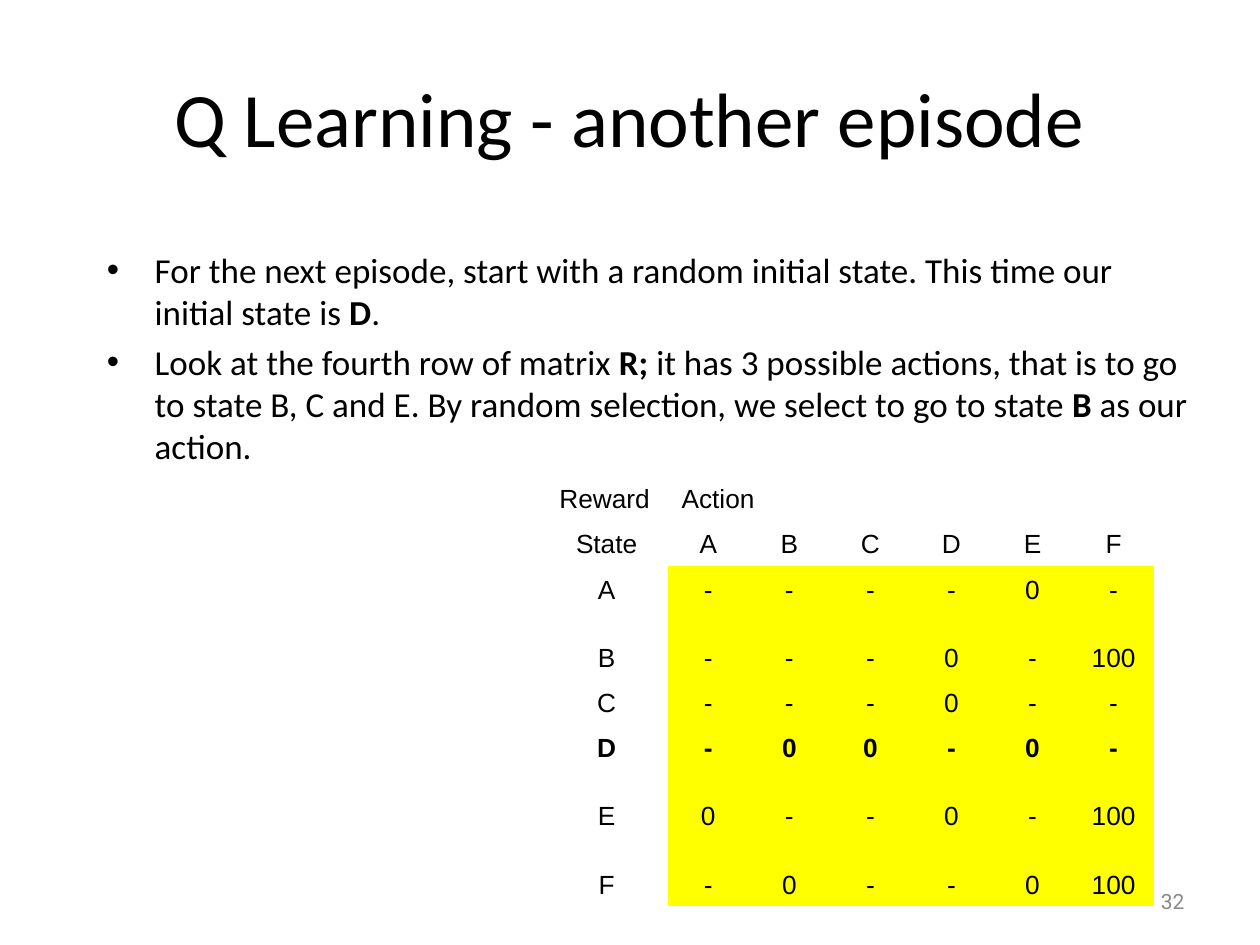
from pptx import Presentation
from pptx.dml.color import RGBColor
from pptx.enum.text import MSO_ANCHOR, PP_ALIGN
from pptx.oxml.ns import qn
from pptx.util import Inches, Pt
from lxml.etree import SubElement
from dataclasses import dataclass


@dataclass(frozen=True)
class Theme:
    black: str = "000000"
    grey: str = "898989"
    yellow: str = "FFFF00"
    heading: str = "Calibri"
    table: str = "Arial"
    number: str = "Roboto"
    title_size: int = 44
    body_size: int = 20
    cell_size: int = 15
    number_size: int = 12
    no_grid_style: str = "{2D5ABB26-0587-4C30-8999-92F81FD0307C}"


class SlideBuilder:
    def __init__(self, prs, theme):
        self.theme = theme
        self.s = prs.slides.add_slide(prs.slide_layouts[6])

    def run(self, p, text, font, size, color, bold=False):
        r = p.add_run()
        r.text = text
        for name, value in {"name": font, "size": Pt(size), "bold": bold}.items():
            setattr(r.font, name, value)
        r.font.color.rgb = RGBColor.from_string(color)

    def box(self, at, anchor=MSO_ANCHOR.TOP):
        tf = self.s.shapes.add_textbox(*map(Inches, at)).text_frame
        for name, value in {"word_wrap": True, "vertical_anchor": anchor}.items():
            setattr(tf, name, value)
        return tf

    def line(self, at, text, align, *style):
        p = self.box(at, MSO_ANCHOR.MIDDLE).paragraphs[0]
        p.alignment = align
        self.run(p, text, *style)

    def bullets(self, at, items):
        """Each item is a list of texts, alternately regular and bold."""
        t = self.theme
        tf = self.box(at)
        for i, item in enumerate(items):
            p = tf.add_paragraph() if i else tf.paragraphs[0]
            if i:
                p.space_before = Pt(5)
            pPr = p._p.get_or_add_pPr()
            pPr.set("marL", str(Inches(0.38)))
            pPr.set("indent", str(-Inches(0.38)))
            SubElement(pPr, qn("a:buFont"), typeface="Arial")
            SubElement(pPr, qn("a:buChar"), char="•")
            for j, text in enumerate(item):
                self.run(p, text, t.heading, t.body_size, t.black, j % 2 == 1)

    def table(self, at, first_col, heights, rows, bold_row):
        t = self.theme
        cols = len(rows[-1])
        frame = self.s.shapes.add_table(len(rows), cols, *map(Inches, at))
        table = frame.table
        table.first_row = table.horz_banding = False
        table._tbl.tblPr.find(qn("a:tableStyleId")).text = t.no_grid_style
        for i, col in enumerate(table.columns):
            col.width = Inches((at[2] - first_col) / (cols - 1) if i else first_col)
        for row, height in zip(table.rows, heights):
            row.height = Inches(height)
        cell_format = {
            "vertical_anchor": MSO_ANCHOR.BOTTOM,
            "margin_left": Inches(0.11), "margin_right": Inches(0.11),
            "margin_top": Inches(0.05), "margin_bottom": Inches(0.05),
        }
        for i, row in enumerate(rows):
            for j in range(cols):
                cell = table.cell(i, j)
                for name, value in cell_format.items():
                    setattr(cell, name, value)
                # Rewards are yellow, the headings stay clear
                if i > 1 and j > 0:
                    cell.fill.solid()
                    cell.fill.fore_color.rgb = RGBColor.from_string(t.yellow)
                else:
                    cell.fill.background()
                if j < len(row):
                    p = cell.text_frame.paragraphs[0]
                    p.alignment = PP_ALIGN.CENTER if i else PP_ALIGN.LEFT
                    self.run(p, row[j], t.table, t.cell_size, t.black, i == bold_row)
        table.cell(0, 1).merge(table.cell(0, 2))


def main():
    prs = Presentation()
    prs.slide_width, prs.slide_height = Inches(10), Inches(7.5)
    t = Theme()
    b = SlideBuilder(prs, t)

    # Title
    b.line((0.5, 0.3, 9, 1.25), "Q Learning - another episode", PP_ALIGN.CENTER,
           t.heading, t.title_size, t.black)

    # Explanation
    b.bullets((0.75, 1.92, 8.83, 5.17), [
        ["For the next episode, start with a random initial state. "
         "This time our initial state is ", "D", "."],
        ["Look at the fourth row of matrix ", "R; ",
         "it has 3 possible actions, that is to go to state B, C and E. "
         "By random selection, we select to go to state ", "B", " as our action."],
    ])

    # Page number
    b.line((7.17, 6.95, 2.33, 0.4), "32", PP_ALIGN.RIGHT,
           t.number, t.number_size, t.grey)

    # Reward matrix R
    rows = [["Reward", "Action"]] + [line.split() for line in (
        "State A B C D E F",
        "A - - - - 0 -",
        "B - - - 0 - 100",
        "C - - - 0 - -",
        "D - 0 0 - 0 -",
        "E 0 - - 0 - 100",
        "F - 0 - - 0 100",
    )]
    heights = [0.63, 0.36, 0.36, 0.54, 0.36, 0.36, 0.54, 0.54]
    b.table((4.33, 3.5, 4.83, 3.71), 0.97, heights, rows, bold_row=5)

    prs.save("out.pptx")


if __name__ == "__main__":
    main()
